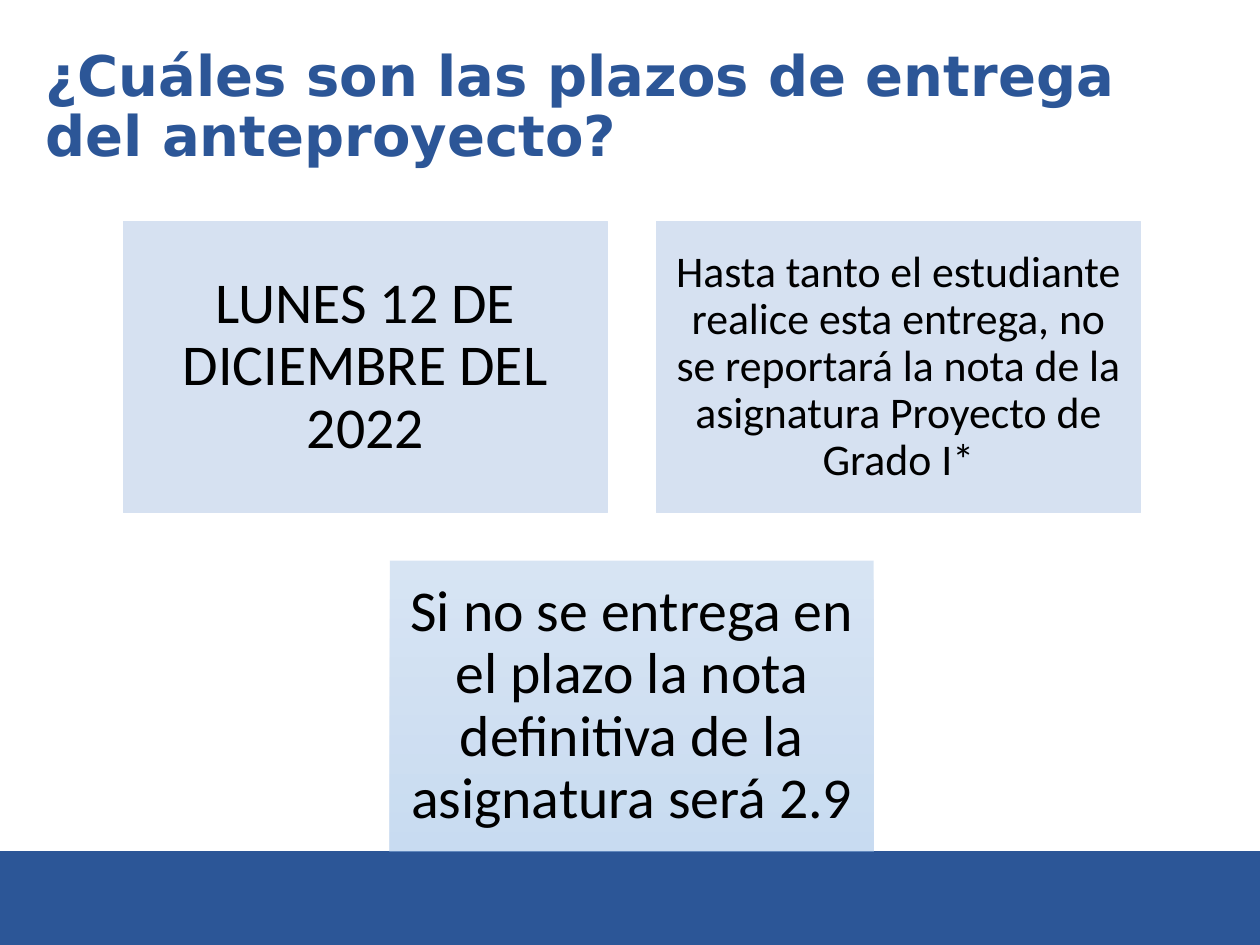
from lxml import etree
from pptx import Presentation
from pptx.dml.color import RGBColor
from pptx.enum.shapes import MSO_SHAPE
from pptx.enum.text import MSO_ANCHOR, PP_ALIGN
from pptx.oxml.ns import qn
from pptx.util import Inches, Pt

RECTANGLE = MSO_SHAPE.RECTANGLE
MIDDLE = MSO_ANCHOR.MIDDLE
LEFT, CENTER = PP_ALIGN.LEFT, PP_ALIGN.CENTER
BLUE, PALE, BLACK = "2C5697", "D6E1F1", "000000"


def color(value):
    return RGBColor.from_string(value)


def write(frame, lines, size, font, hue, align, bold=False):
    frame.word_wrap = True
    frame.vertical_anchor = MIDDLE
    para = frame.paragraphs[0]
    para.alignment = align
    para.line_spacing = 0.9
    for number, line in enumerate(lines):
        if number:
            para.add_line_break()
        span = para.add_run()
        span.text = line
        span.font.size = Pt(size)
        span.font.name = font
        span.font.bold = bold
        span.font.color.rgb = color(hue)
    return para


deck = Presentation()
deck.slide_width, deck.slide_height = Inches(10), Inches(7.5)
page = deck.slides.add_slide(deck.slide_layouts[5])

# Footer band
band_top = 6.76
band = page.shapes.add_shape(RECTANGLE, 0, Inches(band_top), deck.slide_width,
                             deck.slide_height - Inches(band_top))
band.shadow.inherit = False
band.fill.solid()
band.fill.fore_color.rgb = color(BLUE)
band.line.color.rgb = color(BLUE)
band.line.width = Pt(1)

# Title
title = page.shapes.title
title.left, title.top = Inches(0.26), Inches(0.21)
title.width, title.height = Inches(9.47), Inches(1.3)
write(title.text_frame, ["¿Cuáles son las plazos de entrega del anteproyecto?"],
      32, "DejaVu Sans", BLUE, LEFT, bold=True)

# Cards: two above, one centred below; columns and rows count in card steps
card_width, card_height = 3.84, 2.31
grid_left, grid_top = 0.98, 1.76
column_step, row_step = 4.23, 2.69
cards = [
    (0, 0, 33, 0.14, ["LUNES 12 DE DICIEMBRE DEL 2022"]),
    (1, 0, 25, 0.1, ["Hasta tanto el estudiante",
                     "realice esta entrega, no se reportará la nota de la "
                     "asignatura Proyecto de",
                     "Grado I*"]),
    (0.5, 1, 33, 0.14, ["Si no se entrega en el plazo la nota definitiva "
                        "de la asignatura será 2.9"]),
]
for column, row, size, inset, lines in cards:
    card = page.shapes.add_shape(
        RECTANGLE, Inches(grid_left + column * column_step),
        Inches(grid_top + row * row_step), Inches(card_width), Inches(card_height))
    card.shadow.inherit = False
    if row:
        card.fill.gradient()
        card.fill.gradient_angle = 270
        for stop, hue in zip(card.fill.gradient_stops, ("B1CBE9", "93B9E4")):
            stop.color.rgb = color(hue)
        for tint in card.fill._xPr.iter(qn("a:srgbClr")):
            etree.SubElement(tint, qn("a:alpha"), val="50000")
        card.line.fill.background()
    else:
        card.fill.solid()
        card.fill.fore_color.rgb = color(PALE)
        card.line.color.rgb = color(PALE)
        card.line.width = Pt(0.75)
    frame = card.text_frame
    frame.margin_left = frame.margin_right = Inches(inset)
    frame.margin_top = frame.margin_bottom = Inches(inset)
    para = write(frame, lines, size, "Calibri", BLACK, CENTER)
    para.space_after = Pt(0.35 * size)

deck.save("out.pptx")
